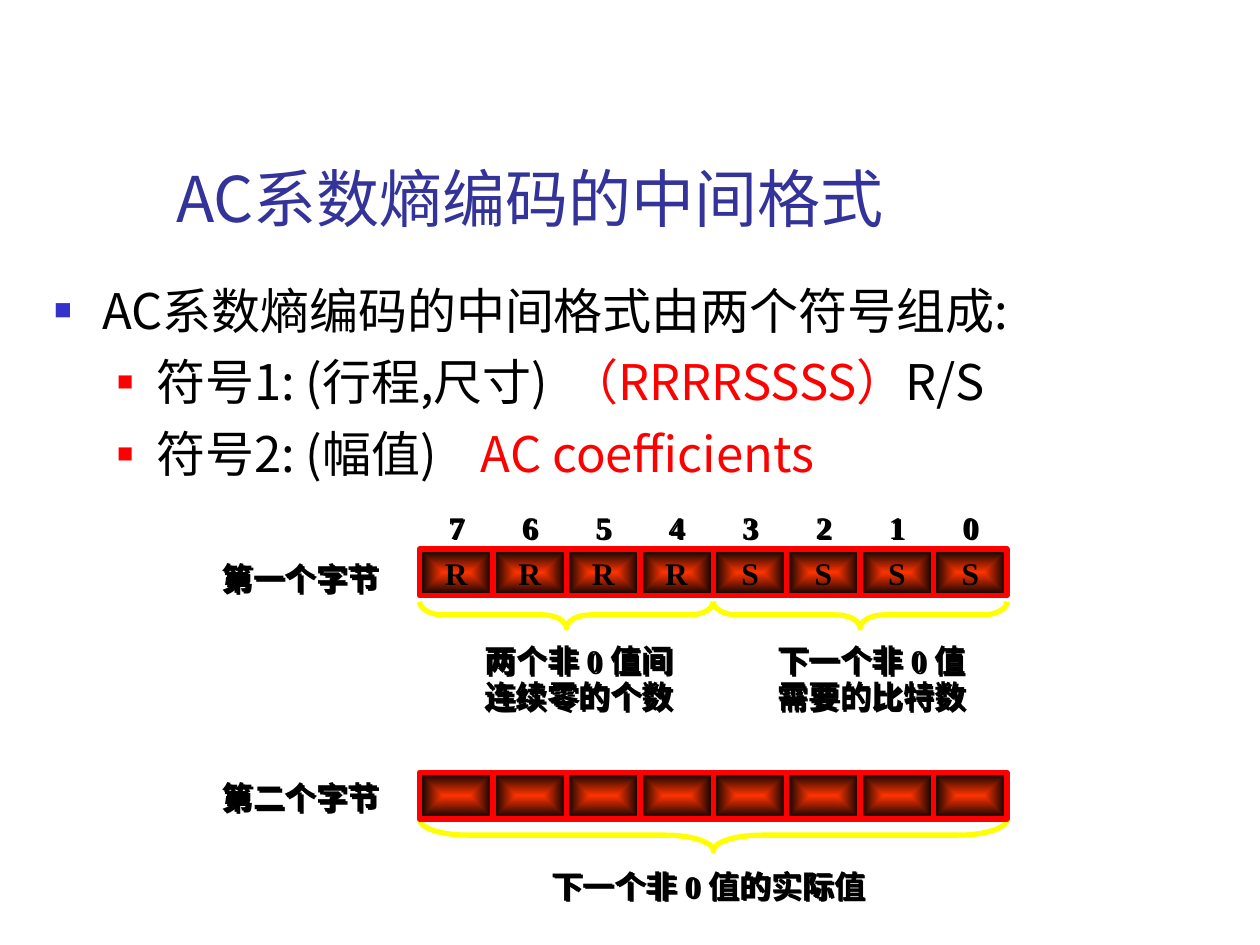
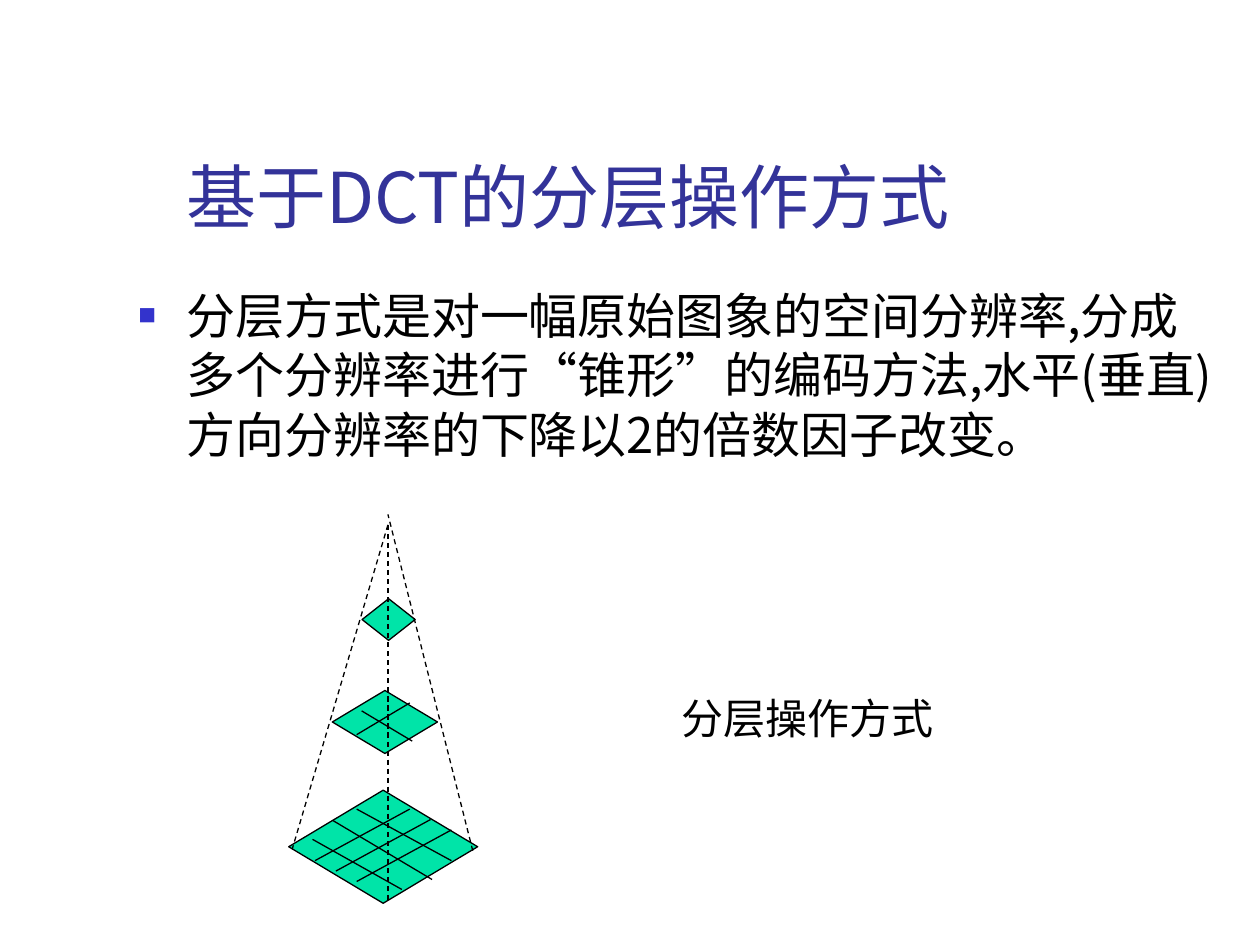
import pptx
import pptx.dml.color
import pptx.enum.dml
import pptx.enum.shapes
import pptx.enum.text
import pptx.oxml
import pptx.oxml.ns
import pptx.util

Cm = pptx.util.Cm
Pt = pptx.util.Pt
RGB = pptx.dml.color.RGBColor
SHAPES = pptx.enum.shapes.MSO_SHAPE
ANCHOR = pptx.enum.text.MSO_ANCHOR
ALIGN = pptx.enum.text.PP_ALIGN
qn = pptx.oxml.ns.qn

BLACK = RGB(0x00, 0x00, 0x00)
TITLE_BLUE = RGB(0x33, 0x33, 0x99)
BULLET_BLUE = RGB(0x33, 0x33, 0xCC)
RED = RGB(0xFF, 0x00, 0x00)
EMBER = RGB(0xFF, 0x33, 0x00)
YELLOW = RGB(0xFF, 0xFF, 0x00)
MINT = RGB(0x00, 0xE4, 0xA8)
SANS = "Noto Sans CJK SC"
SERIF = "Times New Roman"

ROW_LEFT, BIT_WIDTH, BIT_HEIGHT, BITS = 8.46, 1.48, 0.94, 8


def xml(tag, body="", **attributes):
    """Return a DrawingML element with the given content."""
    listed = "".join(f' {key}="{value}"' for key, value in attributes.items())
    space = pptx.oxml.ns.nsdecls("a")
    return pptx.oxml.parse_xml(f"<a:{tag} {space}{listed}>{body}</a:{tag}>")


class Deck:
    """Holds the shared style and the current slide."""

    def __init__(self):
        self.show = pptx.Presentation()
        self.show.slide_width, self.show.slide_height = Cm(25.4), Cm(19.05)
        self.slide = None

    def new_slide(self, heading, box, size):
        """Start a slide with its title."""
        self.slide = self.show.slides.add_slide(self.show.slide_layouts[6])
        frame = self.text_box(box, ANCHOR.BOTTOM)
        self.add_run(frame.paragraphs[0], heading, size, SANS, TITLE_BLUE)

    def text_box(self, box, anchor=ANCHOR.TOP, wrap=True, shadow=False):
        """Add an empty text box and return its frame."""
        holder = self.slide.shapes.add_textbox(*map(Cm, box))
        holder.text_frame.word_wrap = wrap
        holder.text_frame.vertical_anchor = anchor
        if shadow:
            cast = ('<a:outerShdw dist="17961" dir="2700000">'
                    '<a:srgbClr val="000000"/></a:outerShdw>')
            holder._element.spPr.append(xml("effectLst", cast))
        return holder.text_frame

    def add_run(self, paragraph, words, size, font, color=BLACK, bold=False, gap=0):
        """Add one styled run, with optional letter spacing in points."""
        run = paragraph.add_run()
        run.text = words
        run.font.size, run.font.name, run.font.bold = Pt(size), font, bold
        run.font.color.rgb = color
        properties = run._r.get_or_add_rPr()
        properties.find(qn("a:latin")).addnext(xml("ea", typeface=SANS))
        if gap:
            properties.set("spc", str(gap * 100))

    def bullets(self, box, points):
        """Add bulleted paragraphs given as (level, runs)."""
        frame = self.text_box(box)
        for index, (level, runs) in enumerate(points):
            paragraph = frame.add_paragraph() if index else frame.paragraphs[0]
            paragraph.level = level
            paragraph.space_before = Pt(7 if level else 8)
            paragraph.line_spacing = Pt(34)
            properties = paragraph._p.get_or_add_pPr()
            margin, hanging = (2.06, 0.79) if level else (0.97, 0.97)
            properties.set("marL", str(Cm(margin)))
            properties.set("indent", str(-Cm(hanging)))
            color = RED if level else BULLET_BLUE
            properties.append(xml("buClr", f'<a:srgbClr val="{color}"/>'))
            properties.append(xml("buSzPct", val=55000 if level else 60000))
            properties.append(xml("buFont", typeface=SERIF))
            properties.append(xml("buChar", char="■"))
            for words, tint, gap in runs:
                self.add_run(paragraph, words, 28, SANS, tint, gap=gap)

    def label(self, box, *lines):
        """Add centred bold lines with a text shadow."""
        frame = self.text_box(box, shadow=True)
        for index, words in enumerate(lines):
            paragraph = frame.add_paragraph() if index else frame.paragraphs[0]
            paragraph.alignment = ALIGN.CENTER
            paragraph.line_spacing = Pt(20.7)
            self.add_run(paragraph, words, 18, SERIF, bold=True)

    def caption(self, box, words):
        """Add a plain caption."""
        paragraph = self.text_box(box).paragraphs[0]
        paragraph.line_spacing = Pt(32)
        self.add_run(paragraph, words, 24, SERIF)

    def letter(self, frame, words):
        """Centre one bold letter or digit in a frame."""
        frame.word_wrap = False
        frame.vertical_anchor = ANCHOR.MIDDLE
        frame.paragraphs[0].alignment = ALIGN.CENTER
        self.add_run(frame.paragraphs[0], words, 18, SERIF, bold=True)

    def preset(self, kind, box, line, weight):
        """Add a preset shape with an outline."""
        shape = self.slide.shapes.add_shape(kind, *map(Cm, box))
        shape.shadow.inherit = False
        shape.line.color.rgb = line
        shape.line.width = Pt(weight)
        return shape

    def byte_row(self, top, letters=""):
        """Add the eight bit cells of a byte."""
        for bit in range(BITS):
            box = ROW_LEFT + bit * BIT_WIDTH, top, BIT_WIDTH, BIT_HEIGHT
            cell = self.preset(SHAPES.RECTANGLE, box, RED, 3)
            cell.fill.gradient()
            for stop, color, position in zip(
                    cell.fill.gradient_stops, (EMBER, BLACK), (0, 1)):
                stop.color.rgb = color
                stop.position = position
            gradient = cell._element.spPr.find(qn("a:gradFill"))
            center = '<a:fillToRect l="50000" t="50000" r="50000" b="50000"/>'
            gradient.replace(gradient.find(qn("a:lin")),
                             xml("path", center, path="rect"))
            if letters:
                self.letter(cell.text_frame, letters[bit])

    def bit_numbers(self, top):
        """Number the bits from 7 down to 0."""
        for bit in range(BITS):
            box = ROW_LEFT + bit * BIT_WIDTH, top, BIT_WIDTH, 0.97
            self.letter(self.text_box(box, wrap=False, shadow=True),
                        str(BITS - 1 - bit))

    def brace(self, first_bit, bits, top, depth, curve):
        """Add a downward brace under a run of bits."""
        span = bits * BIT_WIDTH
        left = ROW_LEFT + first_bit * BIT_WIDTH + (span - depth) / 2
        box = left, top + (depth - span) / 2, depth, span
        brace = self.preset(SHAPES.LEFT_BRACE, box, YELLOW, 3)
        brace.fill.background()
        brace.adjustments[0] = curve
        brace.rotation = 270

    def diamond(self, *box):
        """Add one pyramid level."""
        level = self.preset(SHAPES.DIAMOND, box, BLACK, 0.75)
        level.fill.solid()
        level.fill.fore_color.rgb = MINT

    def line(self, x1, y1, x2, y2, dashed=False):
        """Add a thin straight line."""
        rule = self.slide.shapes.add_connector(
            pptx.enum.shapes.MSO_CONNECTOR.STRAIGHT, *map(Cm, (x1, y1, x2, y2)))
        rule.line.color.rgb = BLACK
        rule.line.width = Pt(0.75)
        if dashed:
            rule.line.dash_style = pptx.enum.dml.MSO_LINE.DASH
        rule._element.spPr.append(xml("effectLst"))


def intermediate_format(deck):
    """Build the slide on the AC coefficient symbols."""
    deck.new_slide("AC系数熵编码的中间格式", (3.3, 2.51, 19.46, 2.36), 36)
    deck.bullets((0.84, 5.51, 22.25, 4.47), [
        (0, [("AC系数熵编码的中间格式由两个符号组成:", BLACK, 0)]),
        (1, [("符号1: (行程,尺寸)", BLACK, 0), (" ", BLACK, 6),
             ("（RRRRSSSS）", RED, 0), ("R/S", BLACK, 0)]),
        (1, [("符号2: (幅值)", BLACK, 0), (" ", BLACK, 19),
             ("AC coefficients", RED, 0)]),
    ])
    deck.byte_row(11.07, "RRRRSSSS")
    deck.bit_numbers(10.13)
    deck.label((3.1, 11.18, 5.92, 1.02), "第一个字节")
    deck.label((7.82, 12.83, 7.7, 1.78), "两个非 0 值间", "连续零的个数")
    deck.label((13.72, 12.83, 7.7, 1.78), "下一个非 0 值", "需要的比特数")
    for first_bit in (0, 4):
        deck.brace(first_bit, 4, 12.13, 0.53, 0.92)
    deck.label((3.1, 15.6, 5.92, 1.02), "第二个字节")
    deck.brace(0, 8, 16.52, 0.63, 1.55)
    deck.label((8.66, 17.38, 11.25, 1.02), "下一个非 0 值的实际值")
    deck.byte_row(15.57)


def layered_mode(deck):
    """Build the slide on the resolution pyramid."""
    deck.new_slide("基于DCT的分层操作方式", (3.51, 2.13, 17.3, 2.79), 40)
    deck.bullets((2.54, 5.61, 22.33, 11.43), [
        (0, [("分层方式是对一幅原始图象的空间分辨率,分成多个分辨率进行“锥形”的编码方法,"
              "水平(垂直)方向分辨率的下降以2的倍数因子改变。", BLACK, 0)]),
    ])
    deck.diamond(7.3, 12.07, 1.07, 0.84)
    deck.diamond(6.7, 13.92, 2.12, 1.27)
    deck.diamond(5.82, 15.93, 3.81, 2.28)
    for foot in ((7.82, 10.58, 5.89, 17.12), (9.53, 17.15, 7.82, 10.37),
                 (7.82, 10.58, 7.82, 18.2)):
        deck.line(*foot, dashed=True)
    for step in range(3):
        x, y = 8.26 + step * 0.42, 16.31 + step * 0.21
        deck.line(x, y, x - 1.91, y + 1.04)
    for division in ((8.26, 14.17, 7.19, 14.81), (7.29, 14.33, 8.31, 14.94),
                     (7.19, 16.31, 9.1, 17.35), (6.71, 16.54, 8.71, 17.73),
                     (6.3, 16.92, 8.1, 17.93)):
        deck.line(*division)
    deck.caption((13.49, 13.72, 9.6, 1.27), "分层操作方式")


def main():
    """Build and save both slides."""
    deck = Deck()
    intermediate_format(deck)
    layered_mode(deck)
    deck.show.save("out.pptx")


if __name__ == "__main__":
    main()
